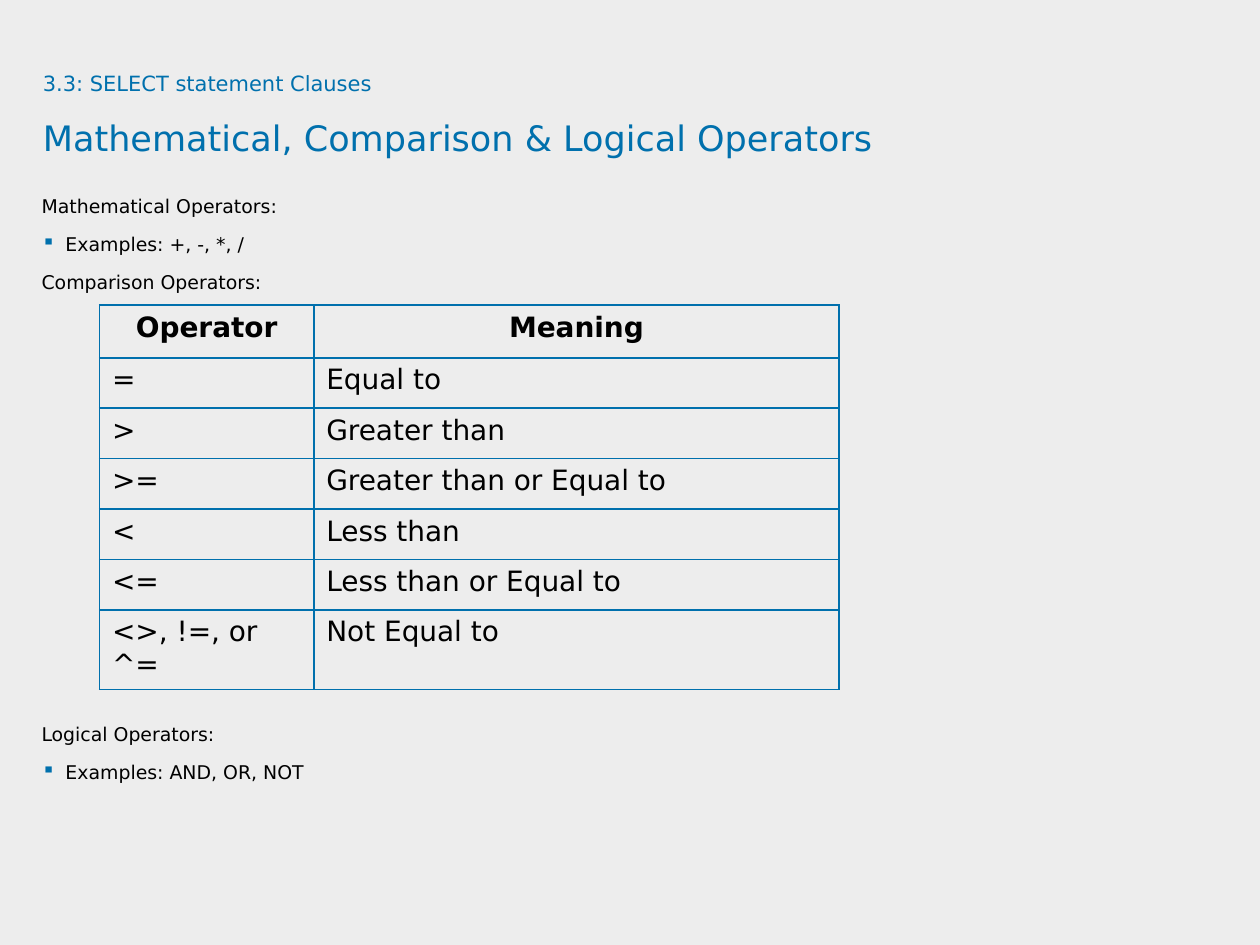
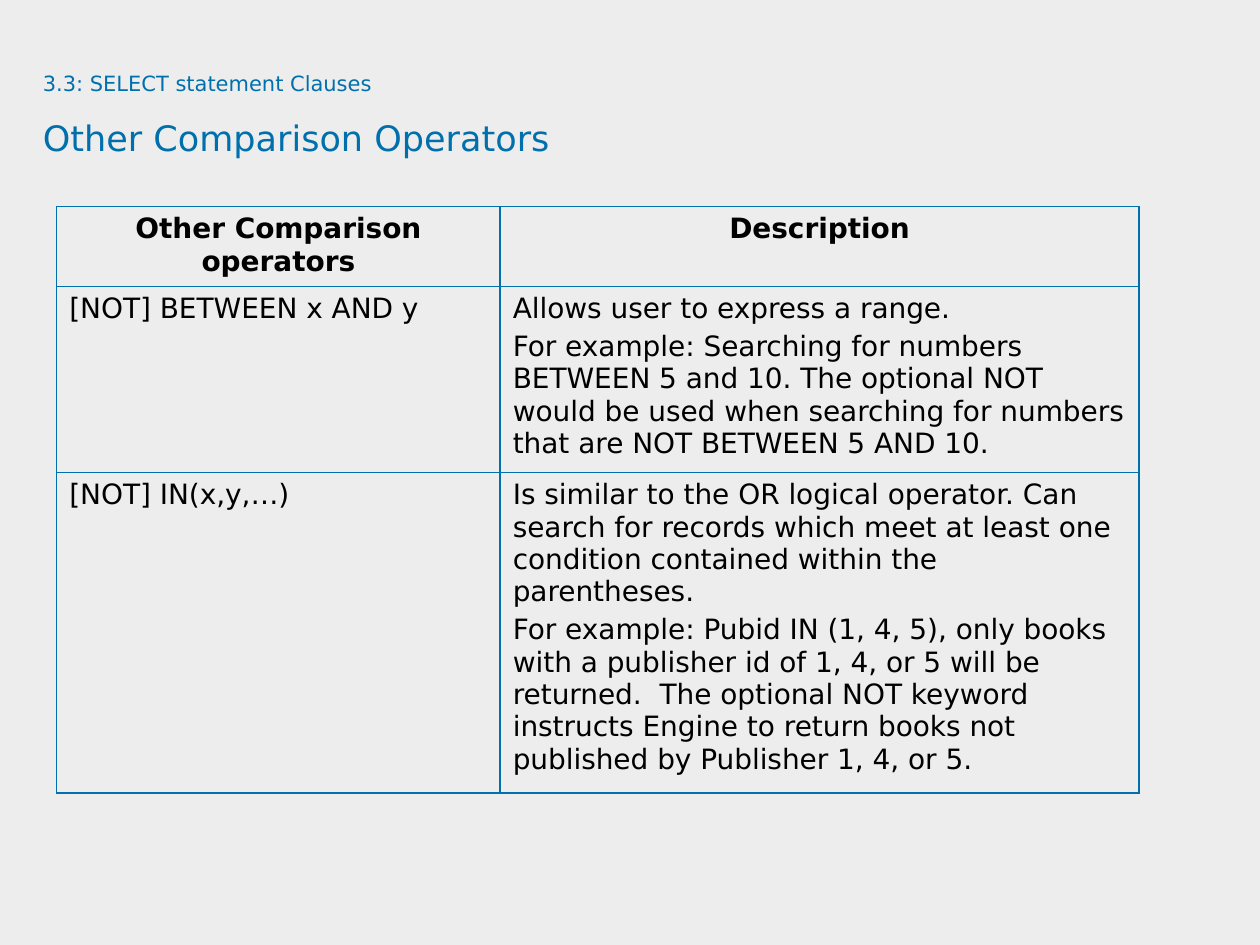
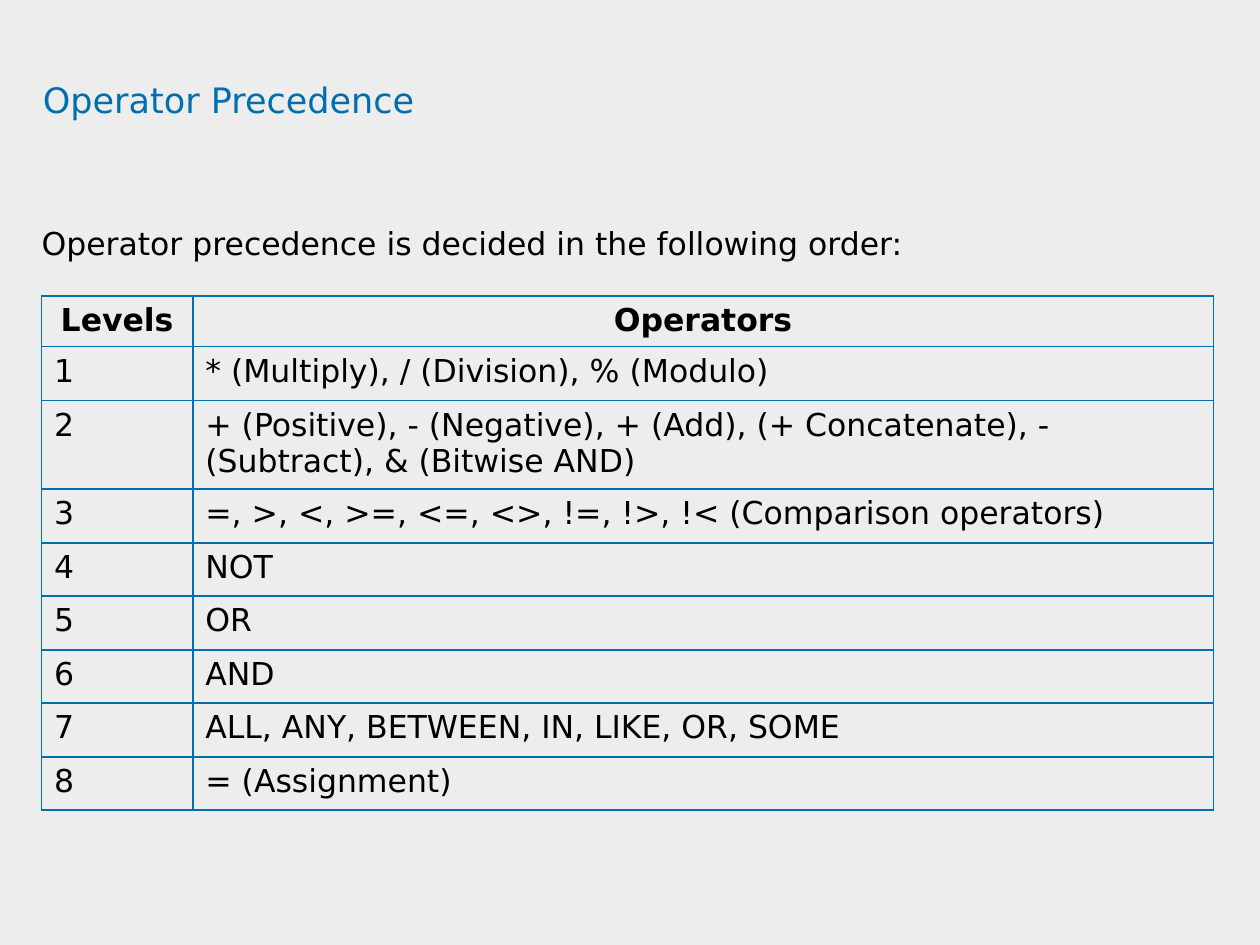
"""Build three slides on SQL operators and their precedence."""
from lxml import etree
from pptx import Presentation, util as u
from pptx.dml.color import RGBColor
from pptx.enum import text as t
from pptx.oxml.ns import qn

BLUE = RGBColor(0x00, 0x70, 0xAD)
BLACK = RGBColor(0, 0, 0)
GREY = RGBColor(0xED, 0xED, 0xED)
FACE = "DejaVu Sans"
TOPIC = "3.3: SELECT statement Clauses "

deck = Presentation()
deck.slide_width, deck.slide_height = u.Inches(10), u.Inches(7.5)
fill = deck.slide_master.background.fill
fill.solid()
fill.fore_color.rgb = GREY


def write(par, words, size, color=BLACK, bold=False, **form):
    """Add one run to a paragraph and format both."""
    run = par.add_run()
    run.text = words
    for key, val in dict(name=FACE, size=u.Pt(size), bold=bold).items():
        setattr(run.font, key, val)
    run.font.color.rgb = color
    for key, val in form.items():
        setattr(par, key, val)


def frame(slide, *area):
    """Add a text box without margins and return its text frame."""
    body = slide.shapes.add_textbox(*map(u.Inches, area)).text_frame
    edges = dict.fromkeys(("left", "top", "right", "bottom"), 0)
    for side, gap in edges.items():
        setattr(body, f"margin_{side}", gap)
    body.word_wrap = True
    return body


pages = [
    dict(
        topic=TOPIC, title="Mathematical, Comparison & Logical Operators",
        top=1.49, size=10.8, pitch=1.3, after=5,
        notes=[("Mathematical Operators:", False, 0), ("Examples: +, -, *, /", True, 0),
               ("Comparison Operators:", False, 0), ("Logical Operators:", False, 236),
               ("Examples: AND, OR, NOT", True, 0)],
        spot=(0.79, 2.42), font=16, cols=[1.7, 4.17], rows=[0.42] + [0.4] * 6,
        cells=[("Operator", "Meaning"), ("=", "Equal to"), (">", "Greater than"),
               (">=", "Greater than or Equal to"), ("<", "Less than"),
               ("<=", "Less than or Equal to"), ("<>, !=, or ^=", "Not Equal to")]),
    dict(
        topic=TOPIC, title="Other Comparison Operators", notes=[],
        spot=(0.45, 1.64), font=16, cols=[3.52, 5.07], rows=[0.61, 1.43, 2.45],
        cells=[("Other Comparison operators", "Description"),
               ("[NOT] BETWEEN x AND y",
                "Allows user to express a range.\n"
                "For example: Searching for numbers BETWEEN 5 and 10. The optional NOT "
                "would be used when searching for numbers that are NOT BETWEEN 5 AND 10."),
               ("[NOT] IN(x,y,…)",
                "Is similar to the OR logical operator. Can search for records which meet "
                "at least one condition contained within the parentheses.\n"
                "For example: Pubid IN (1, 4, 5), only books with a publisher id of 1, 4, "
                "or 5 will be returned.  The optional NOT keyword instructs Engine to "
                "return books not published by Publisher 1, 4, or 5.")]),
    dict(
        topic="", title="Operator Precedence",
        top=1.63, size=18, pitch=1.5, after=4.5,
        notes=[("Operator precedence is decided in the following order:", False, 0)],
        spot=(0.33, 2.35), font=18, cols=[1.2, 8.1], rows=[0.35] + [0.43, 0.42] * 4,
        cells=[("Levels", "Operators"), ("1", "* (Multiply), / (Division), % (Modulo)"),
               ("2", "+ (Positive), - (Negative), + (Add), (+ Concatenate), - "
                     "(Subtract), & (Bitwise AND)"),
               ("3", "=, >, <, >=, <=, <>, !=, !>, !< (Comparison operators)"),
               ("4", "NOT"), ("5", "OR"), ("6", "AND"),
               ("7", "ALL, ANY, BETWEEN, IN, LIKE, OR, SOME"), ("8", "= (Assignment)")]),
]

for page in pages:
    slide = deck.slides.add_slide(deck.slide_layouts[6])

    head = frame(slide, 0.34, 0.46, 9.09, 0.94).paragraphs[0]
    if page["topic"]:
        write(head, page["topic"], 12, BLUE)
        head.add_line_break()
        etree.SubElement(head._p[-1], qn("a:rPr"), sz="1200")
    write(head, page["title"], 20, BLUE, line_spacing=1.5)

    if page["notes"]:
        body = frame(slide, 0.33, page["top"], 9.67, 5.08)
    for num, (words, dot, before) in enumerate(page["notes"]):
        par = body.add_paragraph() if num else body.paragraphs[0]
        write(par, words, page["size"], line_spacing=page["pitch"],
              space_before=u.Pt(before), space_after=u.Pt(page["after"]))
        if dot:
            props = par._p.get_or_add_pPr()
            props.set("marL", str(u.Inches(0.19)))
            props.set("indent", str(-u.Inches(0.19)))
            tint = etree.SubElement(props, qn("a:buClr"))
            etree.SubElement(tint, qn("a:srgbClr"), val=str(BLUE))
            etree.SubElement(props, qn("a:buChar"), char="▪")

    cols, rows = page["cols"], page["rows"]
    area = (*page["spot"], sum(cols), sum(rows))
    grid = slide.shapes.add_table(len(rows), len(cols), *map(u.Inches, area)).table
    grid.first_row = grid.horz_banding = False
    for col, wide in zip(grid.columns, cols):
        col.width = u.Inches(wide)
    for row, tall, line in zip(grid.rows, rows, page["cells"]):
        row.height = u.Inches(tall)
        top = line is page["cells"][0]
        for cell, words in zip(row.cells, line):
            for num, part in enumerate(words.split("\n")):
                body = cell.text_frame
                par = body.add_paragraph() if num else body.paragraphs[0]
                write(par, part, page["font"], bold=top,
                      space_before=u.Pt(page["font"] * 0.2),
                      alignment=t.PP_ALIGN.CENTER if top else t.PP_ALIGN.LEFT)
            props = cell._tc.get_or_add_tcPr()
            for side in ("lnL", "lnR", "lnT", "lnB"):
                edge = etree.SubElement(props, qn(f"a:{side}"), w=str(u.Pt(1)))
                ink = etree.SubElement(edge, qn("a:solidFill"))
                etree.SubElement(ink, qn("a:srgbClr"), val=str(BLUE))
            cell.fill.background()

deck.save("out.pptx")
